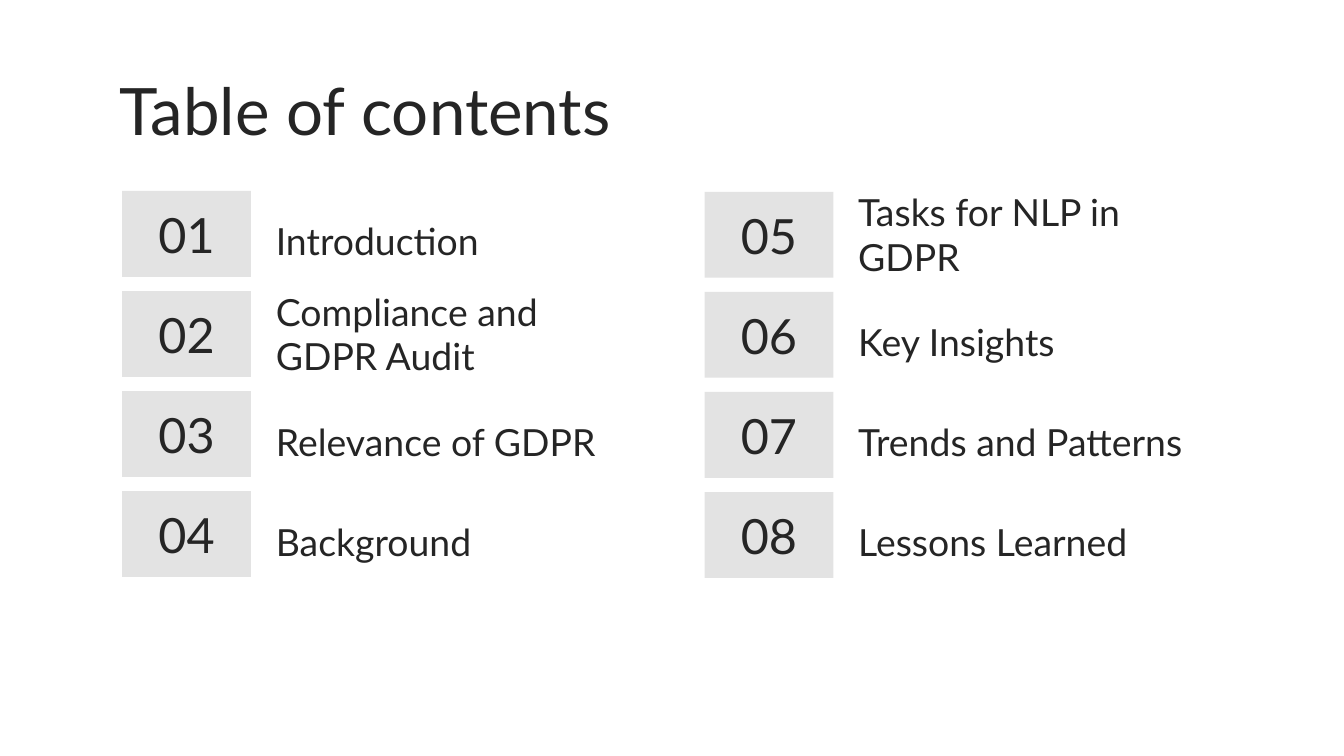
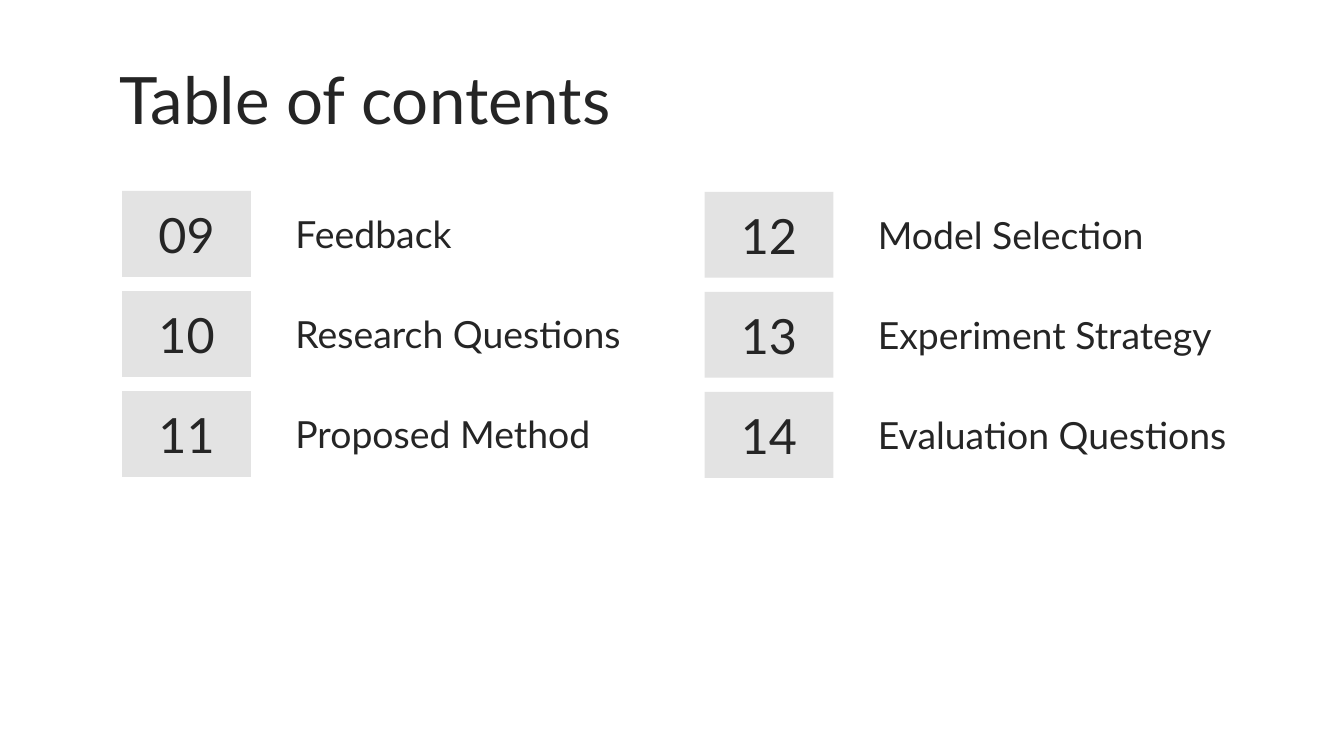
from dataclasses import dataclass

from pptx import Presentation
from pptx.dml.color import RGBColor
from pptx.enum.shapes import MSO_SHAPE
from pptx.enum.text import MSO_ANCHOR, PP_ALIGN
from pptx.util import Pt

RECTANGLE = MSO_SHAPE.RECTANGLE
TOP, MIDDLE, BOTTOM = MSO_ANCHOR.TOP, MSO_ANCHOR.MIDDLE, MSO_ANCHOR.BOTTOM
LEFT, CENTER = PP_ALIGN.LEFT, PP_ALIGN.CENTER


@dataclass(frozen=True)
class Theme:
    font: str = "Lato"
    ink: RGBColor = RGBColor(0x25, 0x25, 0x25)
    tile: RGBColor = RGBColor(0xE3, 0xE3, 0xE3)
    paper: RGBColor = RGBColor(0xFF, 0xFF, 0xFF)
    title_size: int = 35
    number_size: int = 26
    topic_size: int = 20
    inset: float = 7.2


GRID_LEFT, GRID_TOP = 65.5, 102.3
COLUMN_PITCH, ROW_PITCH = 312, 53.6
COLUMN_DROP = 0.5
TILE_WIDTH, ROW_HEIGHT = 69, 46
TOPIC_WIDTH = 210
TWO_LINE_DROP = 8

CONTENTS = [
    {
        "first_number": 1,
        "title_anchor": TOP,
        "entry_anchor": BOTTOM,
        "topic_offset": 75.2,
        "columns": [
            ["Introduction", "Compliance and GDPR Audit", "Relevance of GDPR", "Background"],
            ["Tasks for NLP in GDPR", "Key Insights", "Trends and Patterns", "Lessons Learned"],
        ],
        "two_line_topics": {"Compliance and GDPR Audit", "Tasks for NLP in GDPR"},
    },
    {
        "first_number": 9,
        "title_anchor": MIDDLE,
        "entry_anchor": MIDDLE,
        "topic_offset": 85.7,
        "columns": [
            ["Feedback", "Research Questions", "Proposed Method"],
            ["Model Selection", "Experiment Strategy", "Evaluation Questions"],
        ],
        "two_line_topics": set(),
    },
]


def apply_format(target, values):
    for name, value in values.items():
        setattr(target, name, value)


class Deck:
    def __init__(self, theme):
        self.theme = theme
        self.presentation = Presentation()
        self.slide = None
        apply_format(self.presentation, {"slide_width": Pt(720), "slide_height": Pt(405)})

    def new_slide(self):
        self.slide = self.presentation.slides.add_slide(self.presentation.slide_layouts[6])
        background = self.slide.background.fill
        background.solid()
        background.fore_color.rgb = self.theme.paper

    def set_wording(self, shape, wording, size, anchor, alignment):
        inset = Pt(self.theme.inset)
        frame = shape.text_frame
        apply_format(frame, {
            "text": wording,
            "word_wrap": True,
            "vertical_anchor": anchor,
            "margin_left": inset,
            "margin_right": inset,
            "margin_top": inset,
            "margin_bottom": inset,
        })
        paragraph = frame.paragraphs[0]
        paragraph.alignment = alignment
        font = paragraph.runs[0].font
        apply_format(font, {"name": self.theme.font, "size": Pt(size)})
        font.color.rgb = self.theme.ink

    def text(self, wording, left, top, width, height, size, anchor):
        box = self.slide.shapes.add_textbox(Pt(left), Pt(top), Pt(width), Pt(height))
        self.set_wording(box, wording, size, anchor, LEFT)

    def title(self, wording, anchor):
        self.text(wording, 57, 30.2, 607, 45.2, self.theme.title_size, anchor)

    def number_tile(self, number, left, top, anchor):
        tile = self.slide.shapes.add_shape(
            RECTANGLE, Pt(left), Pt(top), Pt(TILE_WIDTH), Pt(ROW_HEIGHT))
        tile.shadow.inherit = False
        tile.fill.solid()
        tile.fill.fore_color.rgb = self.theme.tile
        tile.line.fill.background()
        self.set_wording(tile, f"{number:02d}", self.theme.number_size, anchor, CENTER)

    def topic(self, wording, left, top, anchor):
        self.text(wording, left, top, TOPIC_WIDTH, ROW_HEIGHT, self.theme.topic_size, anchor)


def add_contents(deck, section):
    deck.new_slide()
    deck.title("Table of contents", section["title_anchor"])
    anchor = section["entry_anchor"]
    number = section["first_number"]
    for column, topics in enumerate(section["columns"]):
        left = GRID_LEFT + column * COLUMN_PITCH
        for row, topic in enumerate(topics):
            top = GRID_TOP + column * COLUMN_DROP + row * ROW_PITCH
            drop = TWO_LINE_DROP if topic in section["two_line_topics"] else 0
            deck.number_tile(number, left, top, anchor)
            deck.topic(topic, left + section["topic_offset"], top + drop, anchor)
            number += 1


def main():
    deck = Deck(Theme())
    for section in CONTENTS:
        add_contents(deck, section)
    deck.presentation.save("out.pptx")


if __name__ == "__main__":
    main()
